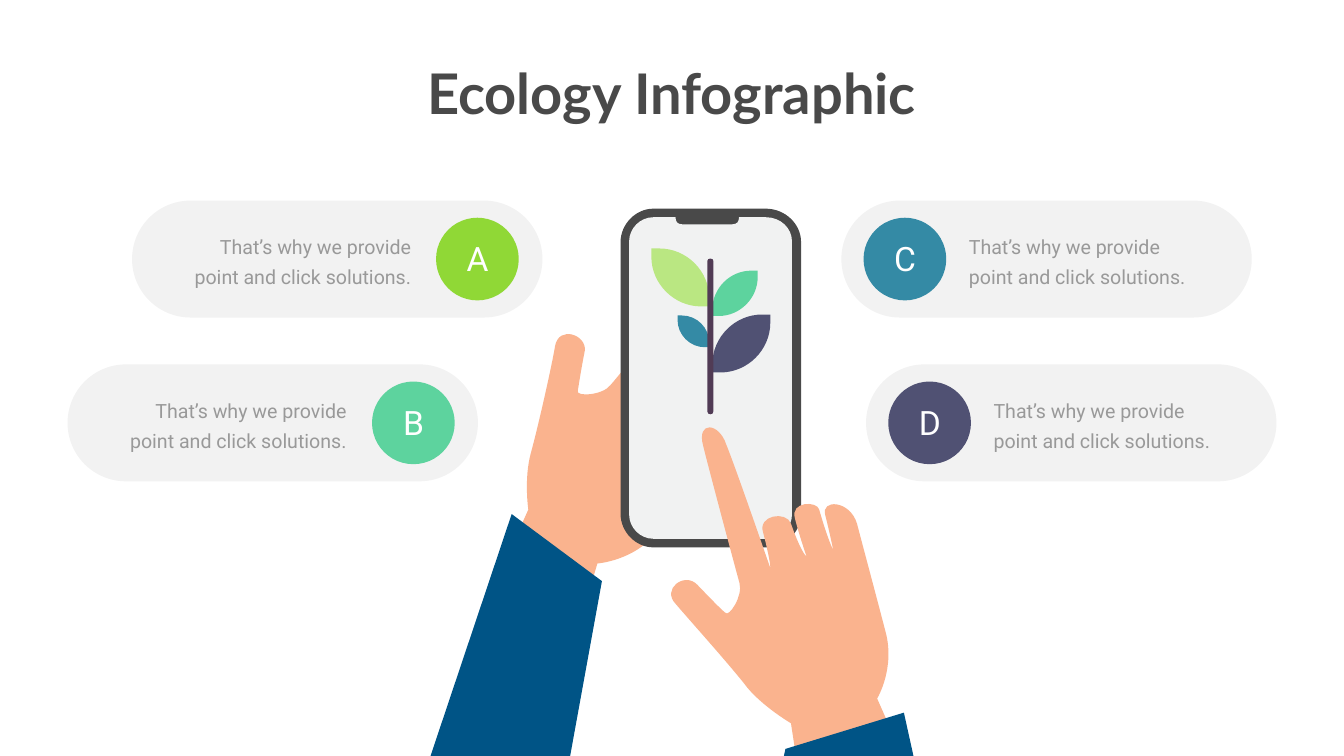
from typing import NamedTuple

from lxml import etree
from pptx import Presentation
from pptx.dml.color import RGBColor
from pptx.enum.shapes import MSO_SHAPE
from pptx.enum.text import PP_ALIGN
from pptx.oxml.ns import qn
from pptx.util import Cm, Pt

ROUNDED = MSO_SHAPE.ROUNDED_RECTANGLE
OVAL = MSO_SHAPE.OVAL
LEFT, CENTER, RIGHT = PP_ALIGN.LEFT, PP_ALIGN.CENTER, PP_ALIGN.RIGHT

SKIN = RGBColor(0xFA, 0xB3, 0x8E)
SLEEVE = RGBColor(0x00, 0x54, 0x86)
CHARCOAL = RGBColor(0x49, 0x49, 0x49)
SCREEN = RGBColor(0xF1, 0xF2, 0xF2)
STEM = RGBColor(0x51, 0x3B, 0x55)
LIME = RGBColor(0xBA, 0xE7, 0x82)
GREEN = RGBColor(0x90, 0xD8, 0x36)
MINT = RGBColor(0x5D, 0xD3, 0x9E)
TEAL = RGBColor(0x34, 0x8A, 0xA5)
PURPLE = RGBColor(0x50, 0x51, 0x73)
GRAY = RGBColor(0x80, 0x80, 0x80)
TEXT_GRAY = RGBColor(0x99, 0x99, 0x99)
WHITE = RGBColor(0xFF, 0xFF, 0xFF)

CM_PER_INCH = 2.54
CARD_WIDTH, CARD_HEIGHT = 8.14, 2.32
BADGE_SIZE = 1.64
MESSAGE = "That’s why we provide point and click solutions."


class Outline(NamedTuple):
    color: RGBColor
    start: tuple
    segments: list


class Leaf(NamedTuple):
    x: float
    y: float
    size: float
    direction: int
    color: RGBColor


class Card(NamedTuple):
    letter: str
    left: float
    top: float
    color: RGBColor
    badge_offset: float
    text_offset: float
    alignment: PP_ALIGN


HOLDING_HAND = Outline(SKIN, (12.11, 7.64), [
    (12.3, 7.43, 13.55, 5.85, 13.88, 5.45), (14.23, 5.03, 14.46, 5.45, 14.21, 5.82),
    (13.93, 6.2, 12.69, 7.94, 12.69, 7.94), (12.69, 7.94, 12.79, 7.94, 13.18, 7.43),
    (13.41, 7.15, 13.81, 7.57, 13.67, 7.78), (13.3, 8.31, 13.32, 8.41, 13.32, 8.41),
    (13.32, 8.41, 13.58, 8.06, 13.79, 7.78), (14.02, 7.5, 14.35, 7.94, 14.23, 8.06),
    (13.83, 8.57, 13.72, 8.78, 13.72, 8.78), (13.72, 8.78, 13.97, 8.5, 14.18, 8.25),
    (14.42, 7.97, 14.72, 8.46, 14.44, 8.83), (14.14, 9.2, 13.53, 9.95, 13.04, 10.55),
    (12.58, 11.13, 11.85, 11.18, 11.85, 11.18), (11.62, 11.95), (9.87, 11.48),
    (10.48, 10.11), (10.48, 10.11, 10.39, 9.5, 10.53, 8.99),
    (10.67, 8.48, 10.94, 7.29, 11.01, 6.87), (11.08, 6.45, 11.64, 6.64, 11.6, 6.96),
    (11.53, 7.31, 11.48, 7.64, 11.46, 7.76), (11.43, 7.87, 11.95, 7.85, 12.11, 7.64),
])
HOLDING_SLEEVE = Outline(SLEEVE, (11.31, 15), [(11.94, 11.53), (10.15, 10.2), (8.54, 15)])
PHONE_BODY = Outline(CHARCOAL, (15.89, 10.2), [
    (15.89, 10.55, 15.58, 10.86, 15.19, 10.86), (12.96, 10.86),
    (12.61, 10.86, 12.31, 10.55, 12.31, 10.2), (12.31, 4.8),
    (12.31, 4.45, 12.61, 4.14, 12.96, 4.14), (15.19, 4.14),
    (15.58, 4.14, 15.89, 4.45, 15.89, 4.8),
])
PHONE_SCREEN = Outline(SCREEN, (15.19, 4.31), [
    (14.66, 4.31), (14.66, 4.4, 14.62, 4.45, 14.53, 4.45), (13.53, 4.45),
    (13.44, 4.45, 13.4, 4.4, 13.4, 4.31), (12.96, 4.31),
    (12.7, 4.31, 12.48, 4.53, 12.48, 4.79), (12.48, 10.21),
    (12.48, 10.47, 12.7, 10.69, 12.96, 10.69), (15.19, 10.69),
    (15.49, 10.69, 15.71, 10.47, 15.71, 10.21), (15.71, 4.79),
    (15.71, 4.53, 15.49, 4.31, 15.19, 4.31),
])
POINTING_HAND = Outline(SKIN, (14.83, 13.65), [
    (15.16, 14.04, 15.69, 14.35, 15.69, 14.35), (15.79, 15), (17.35, 15), (17.84, 14.86),
    (17.4, 13.86), (17.4, 13.86, 17.77, 13.25, 17.56, 12.51),
    (17.37, 11.78, 17.12, 10.85, 17, 10.39), (16.86, 9.92, 16.28, 9.9, 16.37, 10.22),
    (16.46, 10.57, 16.53, 10.92, 16.53, 10.92), (16.53, 10.92, 16.42, 10.71, 16.25, 10.11),
    (16.21, 9.94, 15.67, 9.94, 15.77, 10.29), (15.86, 10.64, 16, 11.04, 16, 11.04),
    (16, 11.04, 15.91, 11.01, 15.69, 10.39), (15.6, 10.13, 15.02, 10.22, 15.14, 10.57),
    (15.3, 11.2, 15.28, 11.27, 15.28, 11.27), (15.28, 11.27, 14.58, 9.24, 14.41, 8.83),
    (14.27, 8.38, 13.81, 8.34, 13.95, 8.85), (14.07, 9.34, 14.6, 11.32, 14.67, 11.57),
    (14.74, 11.83, 14.46, 12.25, 14.39, 12.16), (14.3, 12.09, 14.07, 11.85, 13.83, 11.6),
    (13.58, 11.34, 13.11, 11.69, 13.41, 11.99), (13.69, 12.32, 14.51, 13.23, 14.83, 13.65),
])
POINTING_SLEEVE = Outline(SLEEVE, (18.12, 15), [(17.93, 14.14), (15.58, 14.86), (15.55, 15)])
PLANT_STEM = Outline(STEM, (14.09, 8.22), [
    (14.06, 8.22, 14.03, 8.2, 14.03, 8.16), (14.03, 5.18),
    (14.03, 5.15, 14.06, 5.13, 14.09, 5.13), (14.13, 5.13, 14.15, 5.15, 14.15, 5.18),
    (14.15, 8.16), (14.15, 8.2, 14.13, 8.22, 14.09, 8.22),
])

LARGE_LEAVES = [Leaf(14.07, 6.08, 1.15, -1, LIME), Leaf(14.13, 7.39, 1.15, 1, PURPLE)]
SMALL_LEAVES = [Leaf(14.07, 6.89, 0.63, -1, TEAL), Leaf(14.13, 6.27, 0.9, 1, MINT)]
CARDS = [
    Card("A", 2.62, 3.98, GREEN, 6.03, 0.71, RIGHT),
    Card("C", 16.69, 3.98, TEAL, 0.44, 2.43, LEFT),
    Card("B", 1.34, 7.23, MINT, 6.04, 0.71, RIGHT),
    Card("D", 17.18, 7.23, PURPLE, 0.44, 2.43, LEFT),
]


def inches(value: float) -> Cm:
    return Cm(value * CM_PER_INCH)


def paint(shape, color: RGBColor) -> None:
    shape.shadow.inherit = False
    shape.fill.solid()
    shape.fill.fore_color.rgb = color
    shape.line.fill.background()


def add_preset(slide, kind: MSO_SHAPE, box: tuple, color: RGBColor):
    shape = slide.shapes.add_shape(kind, *map(inches, box))
    paint(shape, color)
    return shape


def draw_outline(slide, outline: Outline) -> None:
    points = [
        (inches(x), inches(y))
        for segment in outline.segments
        for x, y in zip(segment[::2], segment[1::2])
    ]
    builder = slide.shapes.build_freeform(*map(inches, outline.start))
    builder.add_line_segments(points, close=True)
    shape = builder.convert_to_shape()
    lines = iter(list(shape._element.iter(qn("a:lnTo"))))
    for segment in outline.segments:
        first = next(lines)
        if len(segment) == 6:
            curve = etree.Element(qn("a:cubicBezTo"))
            first.addprevious(curve)
            for line in (first, next(lines), next(lines)):
                curve.append(line[0])
                line.getparent().remove(line)
    paint(shape, outline.color)


def draw_leaf(slide, leaf: Leaf) -> None:
    def place(*values: float) -> tuple:
        return tuple(
            leaf.y - leaf.size * value if index % 2 else leaf.x + leaf.direction * leaf.size * value
            for index, value in enumerate(values)
        )

    draw_outline(slide, Outline(leaf.color, place(0, 0), [
        place(0.14, 0), place(0.61, 0, 1, 0.39, 1, 0.86), place(1, 1),
        place(0.86, 1), place(0.39, 1, 0, 0.61, 0, 0.14),
    ]))


def add_text(slide, box: tuple, text: str, font: str, size: int, color: RGBColor,
             alignment: PP_ALIGN, wrap: bool = True):
    frame = slide.shapes.add_textbox(*map(inches, box)).text_frame
    frame.word_wrap = wrap
    paragraph = frame.paragraphs[0]
    paragraph.alignment = alignment
    run = paragraph.add_run()
    run.text = text
    run.font.name, run.font.size = font, Pt(size)
    run.font.color.rgb = color
    return paragraph


def draw_card(slide, card: Card) -> None:
    pill = add_preset(slide, ROUNDED, (card.left, card.top, CARD_WIDTH, CARD_HEIGHT), GRAY)
    pill.adjustments[0] = 0.5
    color_element = next(pill._element.spPr.iter(qn("a:srgbClr")))
    etree.SubElement(color_element, qn("a:alpha"), val="10000")

    left, top = card.left + card.badge_offset, card.top + (CARD_HEIGHT - BADGE_SIZE) / 2
    add_preset(slide, OVAL, (left, top, BADGE_SIZE, BADGE_SIZE), card.color)
    letter_box = (left + 0.33, card.top + 0.7, 0.99, 0.91)
    add_text(slide, letter_box, card.letter, "Roboto", 48, WHITE, CENTER)

    message_box = (card.left + card.text_offset, card.top + 0.5, 4.92, 1.25)
    message = add_text(slide, message_box, MESSAGE, "Roboto", 28, TEXT_GRAY, card.alignment)
    message.line_spacing = Pt(43)


def main() -> None:
    presentation = Presentation()
    presentation.slide_width, presentation.slide_height = inches(26.66), inches(15)
    slide = presentation.slides.add_slide(presentation.slide_layouts[6])

    for outline in (HOLDING_HAND, HOLDING_SLEEVE, PHONE_BODY, PHONE_SCREEN):
        draw_outline(slide, outline)
    for leaf in LARGE_LEAVES:
        draw_leaf(slide, leaf)
    for outline in (POINTING_HAND, POINTING_SLEEVE):
        draw_outline(slide, outline)
    for card in CARDS:
        draw_card(slide, card)
    for leaf in SMALL_LEAVES:
        draw_leaf(slide, leaf)
    draw_outline(slide, PLANT_STEM)

    title_box = (8.27, 1.12, 10.11, 1.45)
    title = add_text(slide, title_box, "Ecology Infographic", "Lato", 80, CHARCOAL, CENTER, False)
    title.runs[0].font.bold = True
    presentation.save("out.pptx")


if __name__ == "__main__":
    main()
